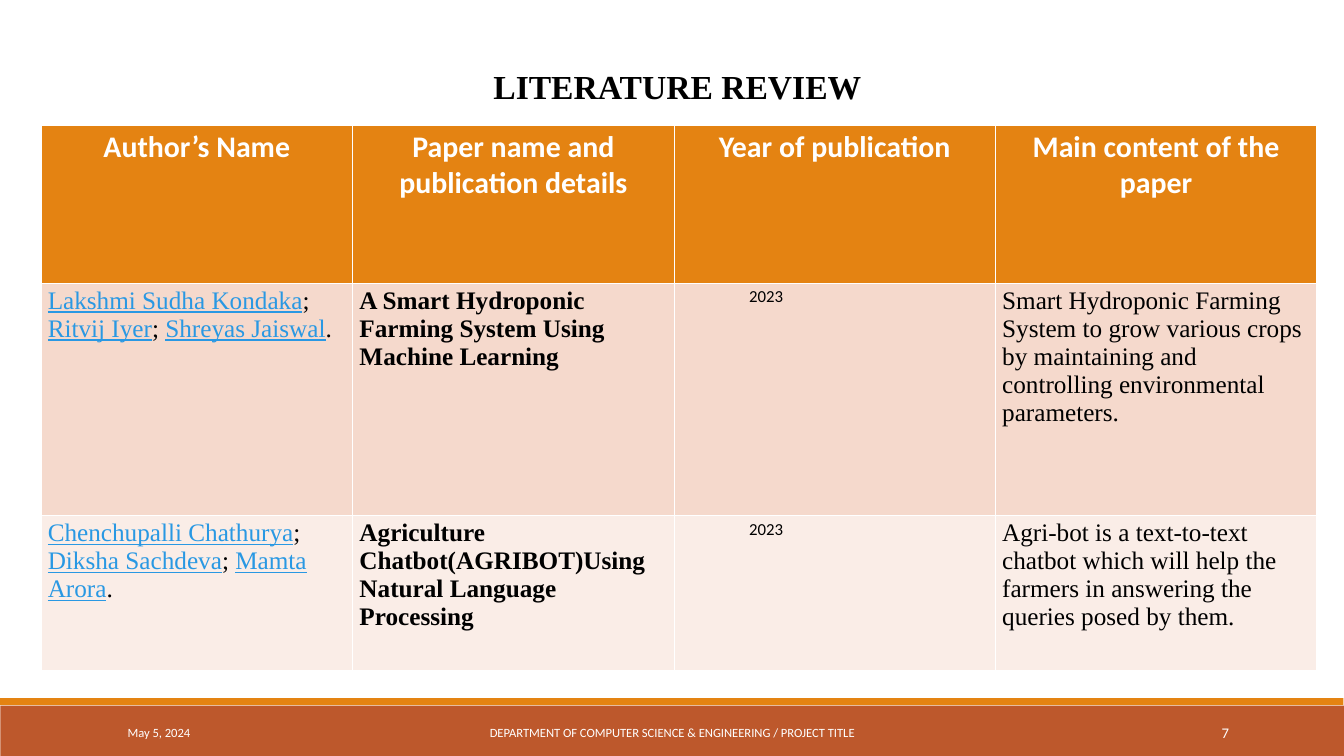
from dataclasses import dataclass

from pptx import Presentation
from pptx.dml.color import RGBColor
from pptx.enum import shapes, text
from pptx import util as u


@dataclass(frozen=True)
class Style:
    font: str
    size: float
    color: str
    bold: bool = False


class Theme:
    RUST, ORANGE, LINK = "BD582C", "E48312", "2998E3"
    BANDS = "F5D9CC", "FAEDE7"
    TITLE = Style("Times New Roman", 36, "000000", True)
    HEADER = Style("Calibri", 32, "FFFFFF", True)
    BODY = Style("Times New Roman", 27, "000000")
    PAPER = Style("Times New Roman", 27, "000000", True)
    YEAR = Style("Calibri", 18, "000000")
    FOOTER = Style("Calibri", 13.5, "FFFFFF")
    NUMBER = Style("Calibri", 15.8, "FFFFFF")


LEFT, CENTER, RIGHT = text.PP_ALIGN.LEFT, text.PP_ALIGN.CENTER, text.PP_ALIGN.RIGHT
HEADERS = ["Author’s Name", "Paper name and publication details",
           "Year of publication", "Main content of the paper"]
PAPERS = [
    (["Lakshmi Sudha Kondaka", "Ritvij Iyer", "Shreyas Jaiswal"],
     "A Smart Hydroponic Farming System Using Machine Learning", "2023",
     "Smart Hydroponic Farming System to grow various crops by maintaining "
     "and controlling environmental parameters."),
    (["Chenchupalli Chathurya", "Diksha Sachdeva", "Mamta Arora"],
     "Agriculture Chatbot(AGRIBOT)Using Natural Language Processing", "2023",
     "Agri-bot is a text-to-text chatbot which will help the farmers in "
     "answering the queries posed by them."),
]


class Deck:
    """Holds the theme and the current slide, and adds each kind of element."""

    def __init__(self, prs, theme):
        self.theme = theme
        self.s = prs.slides.add_slide(prs.slide_layouts[5])

    def fill_text(self, p, content, style, align=LEFT):
        p.text = content
        p.alignment = align
        f = p.font
        f.name, f.size, f.bold = style.font, u.Pt(style.size), style.bold
        f.color.rgb = RGBColor.from_string(style.color)

    def title(self, content, x, y, w, h, indent):
        sp = self.s.shapes.title
        sp.left, sp.top, sp.width, sp.height = map(u.Pt, (x, y, w, h))
        tf = sp.text_frame
        tf.auto_size = text.MSO_AUTO_SIZE.NONE
        tf.vertical_anchor = text.MSO_ANCHOR.TOP
        tf.margin_left = u.Pt(indent)
        p = tf.paragraphs[0]
        self.fill_text(p, content, self.theme.TITLE, CENTER)
        p.line_spacing = 1.5

    def bar(self, x, y, w, h, color):
        sp = self.s.shapes.add_shape(shapes.MSO_SHAPE.RECTANGLE, *map(u.Pt, (x, y, w, h)))
        sp.shadow.inherit = False
        sp.fill.solid()
        sp.fill.fore_color.rgb = RGBColor.from_string(color)
        sp.line.fill.background()

    def label(self, content, x, y, w, h, style, align):
        tf = self.s.shapes.add_textbox(*map(u.Pt, (x, y, w, h))).text_frame
        tf.word_wrap = True
        tf.vertical_anchor = text.MSO_ANCHOR.MIDDLE
        self.fill_text(tf.paragraphs[0], content, style, align)

    def cell(self, cell, content, style, fill, align=LEFT):
        cell.fill.solid()
        cell.fill.fore_color.rgb = RGBColor.from_string(fill)
        self.fill_text(cell.text_frame.paragraphs[0], content, style, align)

    def authors(self, p, names):
        for i, name in enumerate(names, 1):
            r = p.add_run()
            r.text = name
            r.font.underline = True
            r.font.color.rgb = RGBColor.from_string(self.theme.LINK)
            p.add_run().text = "; " if i < len(names) else "."

    def table(self, x, y, widths, heights):
        t = self.theme
        tbl = self.s.shapes.add_table(
            len(heights), len(widths),
            *map(u.Pt, (x, y, sum(widths), sum(heights)))).table
        for col, w in zip(tbl.columns, widths):
            col.width = u.Pt(w)
        for row, h in zip(tbl.rows, heights):
            row.height = u.Pt(h)
        for c, header in enumerate(HEADERS):
            self.cell(tbl.cell(0, c), header, t.HEADER, t.ORANGE, CENTER)
        for r, ((names, *details), band) in enumerate(zip(PAPERS, t.BANDS), 1):
            self.cell(tbl.cell(r, 0), "", t.BODY, band)
            self.authors(tbl.cell(r, 0).text_frame.paragraphs[0], names)
            for c, (detail, style) in enumerate(zip(details, (t.PAPER, t.YEAR, t.BODY)), 1):
                self.cell(tbl.cell(r, c), detail, style, band)
            tbl.cell(r, 2).margin_left = u.Pt(80.5)


def main():
    prs = Presentation()
    prs.slide_width, prs.slide_height = u.Pt(1440), u.Pt(810)
    t = Theme()
    deck = Deck(prs, t)
    deck.bar(0.5, 756, 1439.5, 54, t.RUST)
    deck.bar(0, 748, 1439.5, 7.5, t.ORANGE)
    deck.label("May 5, 2024", 129.6, 763, 292, 43.5, t.FOOTER, LEFT)
    deck.label("DEPARTMENT OF COMPUTER SCIENCE & ENGINEERING / PROJECT TITLE",
               435.6, 763, 569.5, 43.5, t.FOOTER, CENTER)
    deck.label("7", 1169.3, 763, 154.8, 43.5, t.NUMBER, RIGHT)
    deck.title("LITERATURE REVIEW", 44, 45.4, 1327.7, 64.8, 43.2)
    deck.table(44, 134.6, [334] + [344.3] * 3, [169, 249, 165.6])
    prs.save("out.pptx")


if __name__ == "__main__":
    main()
